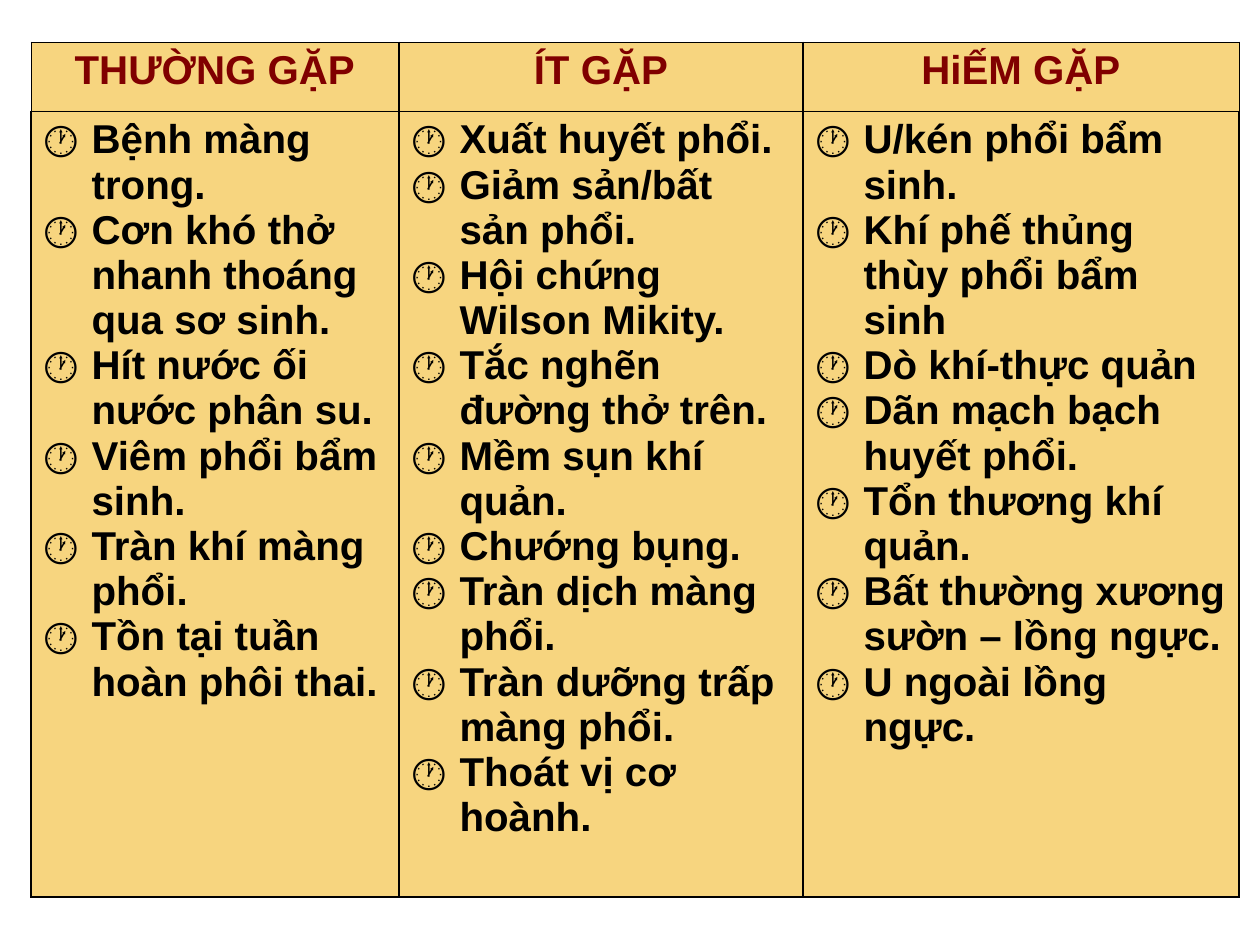
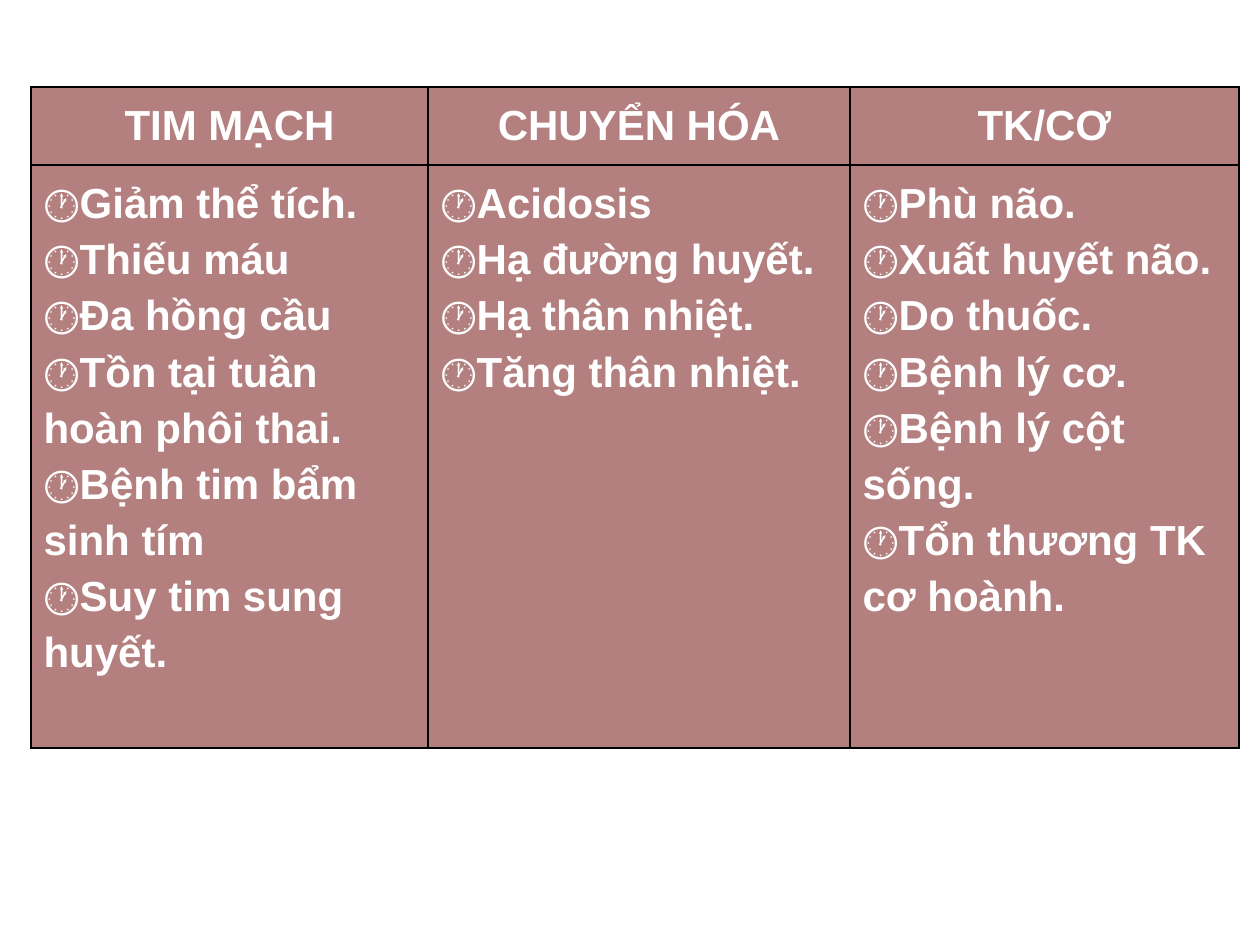
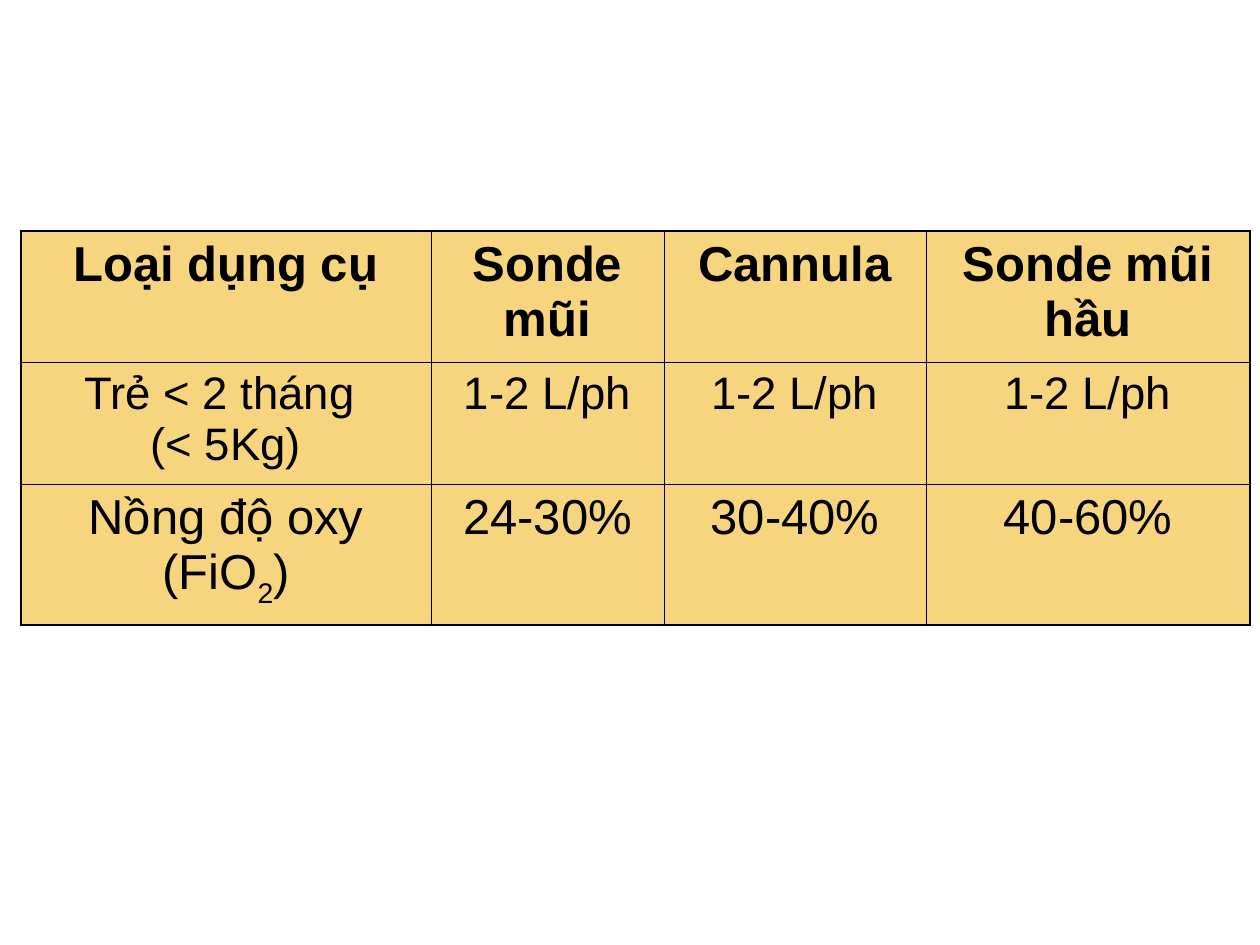
from dataclasses import dataclass

from lxml import etree
from pptx import Presentation
from pptx import util as u
from pptx.dml import color
from pptx.enum import text
from pptx.oxml import ns

SCALE = 914400 / 126
THIN, THICK = 0.45, 0.96
CLOCK = "🕐"


def px(length):
    return u.Emu(round(length * SCALE))


@dataclass(frozen=True)
class Theme:
    font: str = "Arial"
    amber: str = "F0AD00"
    maroon: str = "680000"
    heading: str = "800000"
    ink: str = "000000"
    white: str = "FFFFFF"
    opacity: int = 50
    causes: int = 23
    systems: int = 24
    oxygen: int = 28
    dose: int = 26
    subscript: int = -30


@dataclass(frozen=True)
class Look:
    size: int
    ink: str
    bold: bool = True
    centred: bool = True
    spacing: float | None = None
    hanging: int = 0
    tabs: tuple = ()


class Deck:
    def __init__(self, theme):
        self.theme = theme
        self.file = Presentation()
        self.file.slide_width, self.file.slide_height = px(1260), px(945)
        self.slide = None

    def new_slide(self):
        self.slide = self.file.slides.add_slide(self.file.slide_layouts[6])

    def table(self, left, top, widths, heights, rows, looks, fill, verticals, horizontals):
        grid = self.slide.shapes.add_table(
            len(heights), len(widths), px(left), px(top), px(sum(widths)), px(sum(heights))
        ).table
        grid.first_row = grid.horz_banding = False
        for column, width in zip(grid.columns, widths):
            column.width = px(width)
        for r, (height, entries, look) in enumerate(zip(heights, rows, looks)):
            grid.rows[r].height = px(height)
            for c, lines in enumerate(entries):
                cell = grid.cell(r, c)
                self.tint(cell, fill)
                self.borders(cell, verticals[r][c:c + 2] + horizontals[r:r + 2])
                self.paragraphs(cell.text_frame, lines, look)

    def tint(self, cell, shade):
        cell.fill.solid()
        cell.fill.fore_color.rgb = color.RGBColor.from_string(shade)
        srgb = cell._tc.tcPr.find(".//" + ns.qn("a:srgbClr"))
        etree.SubElement(srgb, ns.qn("a:alpha"), val=str(self.theme.opacity * 1000))

    def borders(self, cell, weights):
        properties = cell._tc.get_or_add_tcPr()
        for place, (side, weight) in enumerate(zip("LRTB", weights)):
            line = etree.Element(ns.qn(f"a:ln{side}"), w=str(u.Pt(weight)))
            solid = etree.SubElement(line, ns.qn("a:solidFill"))
            etree.SubElement(solid, ns.qn("a:srgbClr"), val=self.theme.ink)
            properties.insert(place, line)

    def paragraphs(self, frame, lines, look):
        for i, line in enumerate(lines):
            paragraph = frame.paragraphs[0] if i == 0 else frame.add_paragraph()
            paragraph.alignment = text.PP_ALIGN.CENTER if look.centred else text.PP_ALIGN.LEFT
            if look.spacing:
                paragraph.line_spacing = look.spacing
            self.indent(paragraph, look)
            paragraph.font.name = self.theme.font
            paragraph.font.size = u.Pt(look.size)
            paragraph.font.bold = look.bold
            paragraph.font.color.rgb = color.RGBColor.from_string(look.ink)
            for part, words in enumerate(line.split("_")):
                run = paragraph.add_run()
                run.text = words
                if part % 2:
                    run._r.get_or_add_rPr().set("baseline", str(self.theme.subscript * 1000))

    def indent(self, paragraph, look):
        properties = paragraph._p.get_or_add_pPr()
        if look.hanging:
            properties.set("marL", str(px(look.hanging)))
            properties.set("indent", str(-px(look.hanging)))
        if look.tabs:
            stops = etree.SubElement(properties, ns.qn("a:tabLst"))
            for stop in look.tabs:
                etree.SubElement(stops, ns.qn("a:tab"), pos=str(px(stop)), algn="l")


def listed(mark, columns):
    return [[mark + item for item in column] for column in columns]


def respiratory_causes(deck):
    theme = deck.theme
    frequencies = [["THƯỜNG GẶP"], ["ÍT GẶP"], ["HiẾM GẶP"]]
    causes = [
        [
            "Bệnh màng trong.",
            "Cơn khó thở nhanh thoáng qua sơ sinh.",
            "Hít nước ối nước phân su.",
            "Viêm phổi bẩm sinh.",
            "Tràn khí màng phổi.",
            "Tồn tại tuần hoàn phôi thai.",
        ],
        [
            "Xuất huyết phổi.",
            "Giảm sản/bất sản phổi.",
            "Hội chứng Wilson Mikity.",
            "Tắc nghẽn đường thở trên.",
            "Mềm sụn khí quản.",
            "Chướng bụng.",
            "Tràn dịch màng phổi.",
            "Tràn dưỡng trấp màng phổi.",
            "Thoát vị cơ hoành.",
        ],
        [
            "U/kén phổi bẩm sinh.",
            "Khí phế thủng thùy phổi bẩm sinh",
            "Dò khí-thực quản",
            "Dãn mạch bạch huyết phổi.",
            "Tổn thương khí quản.",
            "Bất thường xương sườn – lồng ngực.",
            "U ngoài lồng ngực.",
        ],
    ]
    deck.new_slide()
    deck.table(
        31, 42, [368, 404, 436], [69, 786],
        [frequencies, listed(CLOCK + "\t", causes)],
        [
            Look(theme.causes, theme.heading, hanging=48),
            Look(theme.causes, theme.ink, centred=False, hanging=48, tabs=(0, 37, 126)),
        ],
        theme.amber,
        [[THIN, THICK, THICK, THIN], [THICK] * 4],
        [THIN, THIN, THICK],
    )


def other_causes(deck):
    theme = deck.theme
    systems = [["TIM MẠCH"], ["CHUYỂN HÓA"], ["TK/CƠ"]]
    causes = [
        [
            "Giảm thể tích.",
            "Thiếu máu",
            "Đa hồng cầu",
            "Tồn tại tuần hoàn phôi thai.",
            "Bệnh tim bẩm sinh tím",
            "Suy tim sung huyết.",
        ],
        ["Acidosis", "Hạ đường huyết.", "Hạ thân nhiệt.", "Tăng thân nhiệt."],
        [
            "Phù não.",
            "Xuất huyết não.",
            "Do thuốc.",
            "Bệnh lý cơ.",
            "Bệnh lý cột sống.",
            "Tổn thương TK cơ hoành.",
        ],
    ]
    deck.new_slide()
    deck.table(
        31, 87, [397, 422, 389], [78, 583],
        [systems, listed(CLOCK, causes)],
        [
            Look(theme.systems, theme.white, spacing=1.2),
            Look(theme.systems, theme.white, centred=False, spacing=1.2),
        ],
        theme.maroon,
        [[THICK] * 4] * 2,
        [THICK] * 3,
    )


def oxygen_devices(deck):
    theme = deck.theme
    devices = [["Loại dụng cụ"], ["Sonde mũi"], ["Cannula"], ["Sonde mũi hầu"]]
    flows = [["Trẻ < 2 tháng ", "(< 5Kg)"]] + [["1-2 L/ph"]] * 3
    concentrations = [["Nồng độ oxy (FiO_2_)"], ["24-30%"], ["30-40%"], ["40-60%"]]
    deck.new_slide()
    deck.table(
        21, 231, [410, 233, 262, 324], [131, 122, 141],
        [devices, flows, concentrations],
        [
            Look(theme.oxygen, theme.ink),
            Look(theme.dose, theme.ink, bold=False),
            Look(theme.oxygen, theme.ink, bold=False),
        ],
        theme.amber,
        [[THICK, THIN, THIN, THIN, THICK]] * 3,
        [THICK, THIN, THIN, THICK],
    )


def main():
    deck = Deck(Theme())
    respiratory_causes(deck)
    other_causes(deck)
    oxygen_devices(deck)
    deck.file.save("out.pptx")


if __name__ == "__main__":
    main()
